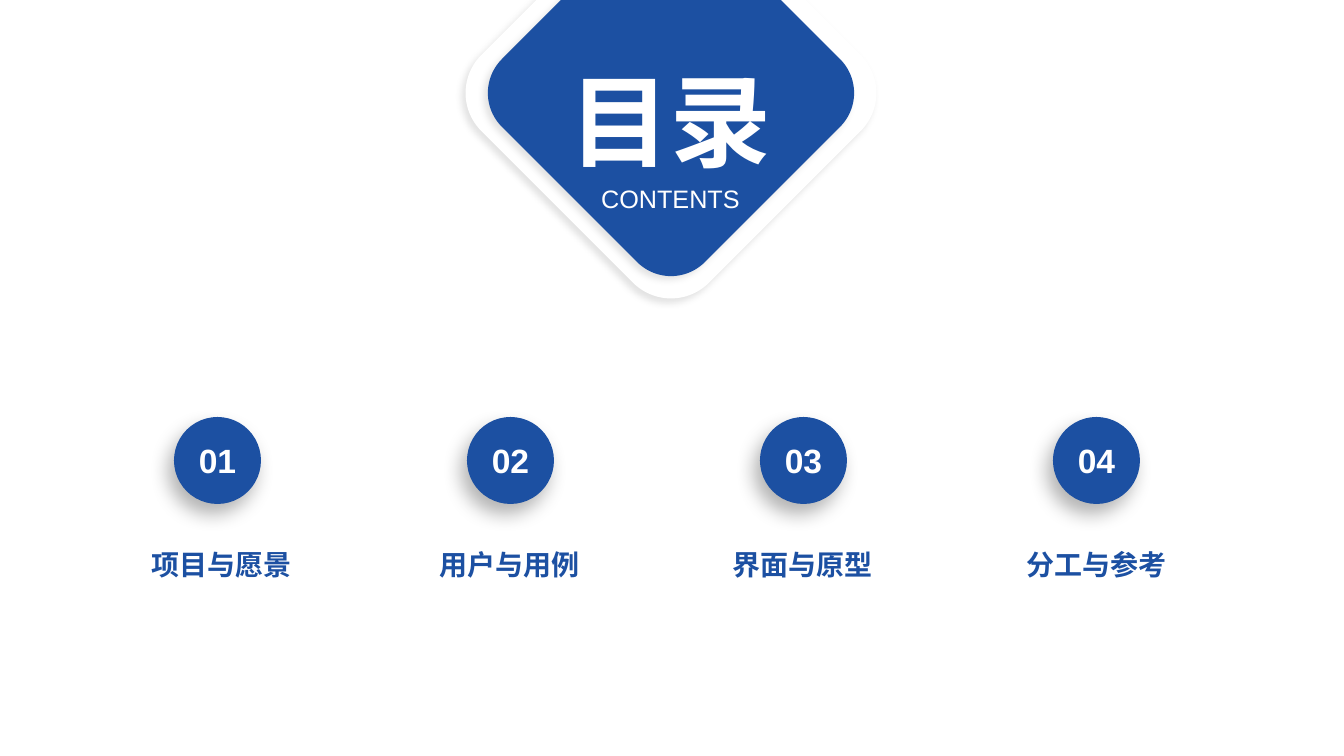
from lxml import etree
from pptx import Presentation
from pptx.dml.color import RGBColor
from pptx.enum.shapes import MSO_SHAPE
from pptx.enum.text import MSO_ANCHOR, MSO_AUTO_SIZE, PP_ALIGN
from pptx.oxml.ns import qn
from pptx.util import Emu, Pt

ROUND, OVAL = MSO_SHAPE.ROUNDED_RECTANGLE, MSO_SHAPE.OVAL
TOP, MIDDLE = MSO_ANCHOR.TOP, MSO_ANCHOR.MIDDLE
GROW, NONE = MSO_AUTO_SIZE.SHAPE_TO_FIT_TEXT, MSO_AUTO_SIZE.NONE
CENTER = PP_ALIGN.CENTER
BLUE, WHITE = "1C50A2", "FFFFFF"


def px(n):
    return Emu(round(n * 914400 / 100.8))


def color(code):
    return RGBColor.from_string(code)


class Deck:
    """Holds the style and the current slide."""

    def __init__(self):
        self.file = Presentation()
        self.file.slide_width, self.file.slide_height = px(1344), px(756)
        self.slide = self.file.slides.add_slide(self.file.slide_layouts[5])

    def label(self, shape, text, size, font, tint, bold, anchor, fit):
        frame = shape.text_frame
        frame.word_wrap = True
        frame.auto_size = fit
        frame.vertical_anchor = anchor
        frame.text = text
        line = frame.paragraphs[0]
        line.alignment = CENTER
        line.font.size, line.font.name, line.font.bold = Pt(size), font, bold
        line.font.color.rgb = color(tint)

    def shade(self, shape, alpha, blur, dist, angle):
        shape.shadow.inherit = False
        effects = shape._element.spPr.find(qn("a:effectLst"))
        outer = etree.SubElement(
            effects, qn("a:outerShdw"), blurRad=str(Pt(blur)), dist=str(Pt(dist)),
            dir=str(angle * 60000), algn="ctr", rotWithShape="0")
        black = etree.SubElement(outer, qn("a:srgbClr"), val="000000")
        etree.SubElement(black, qn("a:alpha"), val=str(alpha * 1000))

    def shape(self, kind, left, top, size, fill, shadow):
        item = self.slide.shapes.add_shape(kind, px(left), px(top), px(size), px(size))
        item.fill.solid()
        item.fill.fore_color.rgb = color(fill)
        item.line.fill.background()
        self.shade(item, *shadow)
        return item

    def diamond(self, mid_x, mid_y, size, fill):
        item = self.shape(ROUND, mid_x - size / 2, mid_y - size / 2, size, fill,
                          (11, 5, 4, 135))
        item.rotation = 45

    def badge(self, left, top, size, text):
        item = self.shape(OVAL, left, top, size, BLUE, (30, 14, 8, 120))
        self.label(item, text, 24, "Arial", WHITE, True, MIDDLE, NONE)

    def title(self, left, top, width, height, text):
        item = self.slide.shapes.title
        item.left, item.top = px(left), px(top)
        item.width, item.height = px(width), px(height)
        self.label(item, text, 72, "Calibri", WHITE, True, TOP, GROW)
        self.slide.shapes._spTree.append(item._element)

    def text(self, left, top, width, height, text, size, font, tint, bold, pad):
        item = self.slide.shapes.add_textbox(px(left), px(top), px(width), px(height))
        frame = item.text_frame
        frame.margin_left = frame.margin_right = px(pad[0])
        frame.margin_top = frame.margin_bottom = px(pad[1])
        self.label(item, text, size, font, tint, bold, TOP, GROW)


def main():
    deck = Deck()
    for size, fill in ((322, WHITE), (287, BLUE)):
        deck.diamond(671, 93, size, fill)
    deck.title(479, 54, 383, 132, "目录")
    deck.text(479, 178, 383, 40, "CONTENTS", 18, "Arial", WHITE, False, (10, 5))

    topics = ((106, "项目与愿景"), (394, "用户与用例"),
              (687, "界面与原型"), (981, "分工与参考"))
    for i, (left, topic) in enumerate(topics):
        deck.badge(174 + 293 * i, 417, 87, f"{i + 1:02}")
        deck.text(left, 543, 232, 41, topic, 20, "Calibri", BLUE, True, (7, 4))
    deck.file.save("out.pptx")


if __name__ == "__main__":
    main()
